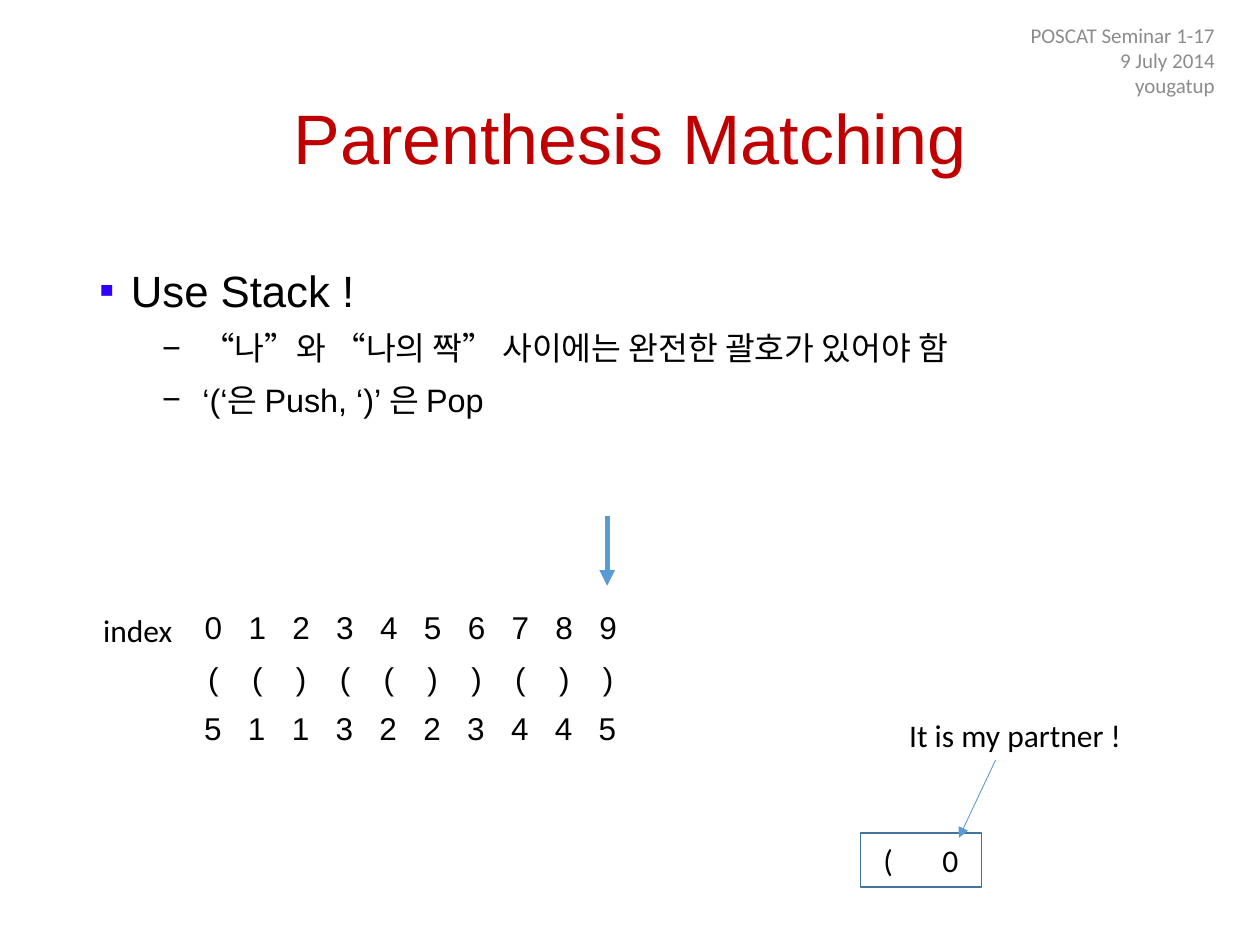
from lxml import etree
from pptx import Presentation
from pptx.dml.color import RGBColor
from pptx.enum import shapes, text
from pptx.oxml import ns
from pptx.util import Cm, Pt

THEME = {
    "title": {"name": "Arial", "size": 40, "color": "C00000"},
    "lead": {"name": "Arial", "size": 25, "color": "000000"},
    "point": {"name": "Arial", "size": 18.5, "color": "000000"},
    "header": {"name": "Calibri", "size": 12, "color": "8C8C8C"},
    "cell": {"name": "Arial", "size": 18, "color": "000000"},
    "label": {"name": "Calibri", "size": 18, "color": "000000"},
    "arrow": "5B9BD5",
    "border": "43739E",
    "paper": "FFFFFF",
    "lead_bullet": "3102F8",
    "point_bullet": "000000",
}
LEFT, CENTER, RIGHT = text.PP_ALIGN.LEFT, text.PP_ALIGN.CENTER, text.PP_ALIGN.RIGHT
TOP, MIDDLE = text.MSO_ANCHOR.TOP, text.MSO_ANCHOR.MIDDLE

TEXTS = [
    (["Parenthesis Matching"], (1.75, 1.02, 21.9, 3.68), "title", CENTER, MIDDLE, True, 0.9),
    (["POSCAT Seminar 1-17", "9 July 2014", "yougatup"],
     (19.02, 0.51, 5.72, 1.4), "header", RIGHT, MIDDLE, True, 1.0),
    (["index"], (1.83, 12.19, 1.93, 1.02), "label", LEFT, TOP, False, 1.0),
    (["It is my partner !"], (18.08, 14.3, 4.83, 1.02), "label", LEFT, TOP, False, 1.0),
]
OUTLINE = [
    (0, "Use Stack !"),
    (1, "“나”와 “나의 짝” 사이에는 완전한 괄호가 있어야 함"),
    (1, "‘(‘은 Push, ‘)’ 은 Pop"),
]
OUTLINE_BOX = (1.75, 5.08, 21.9, 12.09)
LEVELS = [
    {"style": "lead", "bullet": "▪", "color": "lead_bullet", "margin": 0.64, "hang": 0.64, "before": 0},
    {"style": "point", "bullet": "−", "color": "point_bullet", "margin": 2.08, "hang": 0.81, "before": 5},
]
BRACKETS = "(()(())())"
PARTNERS = "5113223445"
MATCHES = [
    ("".join(str(i) for i in range(len(BRACKETS))), CENTER, 0.51),
    (BRACKETS, CENTER, 0.51),
    (PARTNERS, LEFT, 1.02),
]
MATCHES_AT = (3.86, 12.19)
COLUMN = 0.884
STACK_TOP = ("(", "0")
STACK_BOX = (17.35, 16.79, 2.44, 1.09)
STACK_INSET, STACK_TAB = 0.46, 1.19
ARROWS = [
    ((12.24, 10.41), (12.24, 11.81), 3),
    ((20.07, 15.32), (19.33, 16.89), 0.5),
]


def rgb(key):
    return RGBColor.from_string(THEME[key])


def add_xml(parent, tag, **attributes):
    return etree.SubElement(parent, ns.qn(tag), attributes)


def style_font(font, style):
    values = THEME[style]
    for key, value in {"name": values["name"], "size": Pt(values["size"])}.items():
        setattr(font, key, value)
    font.color.rgb = RGBColor.from_string(values["color"])


def write(paragraph, words, style, **formats):
    for key, value in formats.items():
        setattr(paragraph, key, value)
    run = paragraph.add_run()
    run.text = words
    style_font(run.font, style)


def add_frame(slide, box, anchor=TOP, wrap=True):
    frame = slide.shapes.add_textbox(*map(Cm, box)).text_frame
    for key, value in {"word_wrap": wrap, "vertical_anchor": anchor}.items():
        setattr(frame, key, value)
    return frame


def paragraphs(frame, items):
    for i, item in enumerate(items):
        yield (frame.add_paragraph() if i else frame.paragraphs[0]), item


def add_outline(slide):
    for paragraph, (depth, words) in paragraphs(add_frame(slide, OUTLINE_BOX), OUTLINE):
        level = LEVELS[depth]
        write(paragraph, words, level["style"], level=depth, line_spacing=1.1,
              space_before=Pt(level["before"]))
        properties = paragraph._p.get_or_add_pPr()
        properties.set("marL", str(Cm(level["margin"])))
        properties.set("indent", str(-Cm(level["hang"])))
        add_xml(add_xml(properties, "a:buClr"), "a:srgbClr", val=THEME[level["color"]])
        add_xml(properties, "a:buFont", typeface="Arial")
        add_xml(properties, "a:buChar", char=level["bullet"])


def add_matches(slide):
    count = len(BRACKETS)
    size = (COLUMN * count, sum(height for _, _, height in MATCHES))
    table = slide.shapes.add_table(len(MATCHES), count, *map(Cm, MATCHES_AT + size)).table
    for key in ("first_row", "horz_banding"):
        setattr(table, key, False)
    for column in table.columns:
        column.width = Cm(COLUMN)
    for row, (marks, align, height) in zip(table.rows, MATCHES):
        row.height = Cm(height)
        for cell, mark in zip(row.cells, marks):
            cell.fill.solid()
            cell.fill.fore_color.rgb = rgb("paper")
            write(cell.text_frame.paragraphs[0], mark, "cell", alignment=align)


def add_stack(slide):
    stack = slide.shapes.add_shape(shapes.MSO_SHAPE.RECTANGLE, *map(Cm, STACK_BOX))
    stack.shadow.inherit = False
    stack.fill.background()
    stack.line.color.rgb = rgb("border")
    stack.line.width = Pt(1)
    frame = stack.text_frame
    for key, value in {"margin_left": Cm(STACK_INSET), "margin_right": 0,
                       "vertical_anchor": MIDDLE}.items():
        setattr(frame, key, value)
    paragraph = frame.paragraphs[0]
    tabs = add_xml(paragraph._p.get_or_add_pPr(), "a:tabLst")
    add_xml(tabs, "a:tab", pos=str(Cm(STACK_TAB)), algn="l")
    write(paragraph, "\t".join(STACK_TOP), "label", alignment=LEFT)


def add_arrow(slide, start, end, width):
    arrow = slide.shapes.add_connector(shapes.MSO_CONNECTOR.STRAIGHT, *map(Cm, start + end))
    arrow.line.color.rgb = rgb("arrow")
    arrow.line.width = Pt(width)
    add_xml(arrow.line._get_or_add_ln(), "a:tailEnd", type="triangle")
    add_xml(arrow._element.spPr, "a:effectLst")


def main():
    deck = Presentation()
    deck.slide_width, deck.slide_height = Cm(25.4), Cm(19.05)
    slide = deck.slides.add_slide(deck.slide_layouts[6])
    for lines, box, style, align, anchor, wrap, spacing in TEXTS:
        for paragraph, words in paragraphs(add_frame(slide, box, anchor, wrap), lines):
            write(paragraph, words, style, alignment=align, line_spacing=spacing)
    add_outline(slide)
    add_matches(slide)
    add_stack(slide)
    for start, end, width in ARROWS:
        add_arrow(slide, start, end, width)
    deck.save("out.pptx")


if __name__ == "__main__":
    main()
